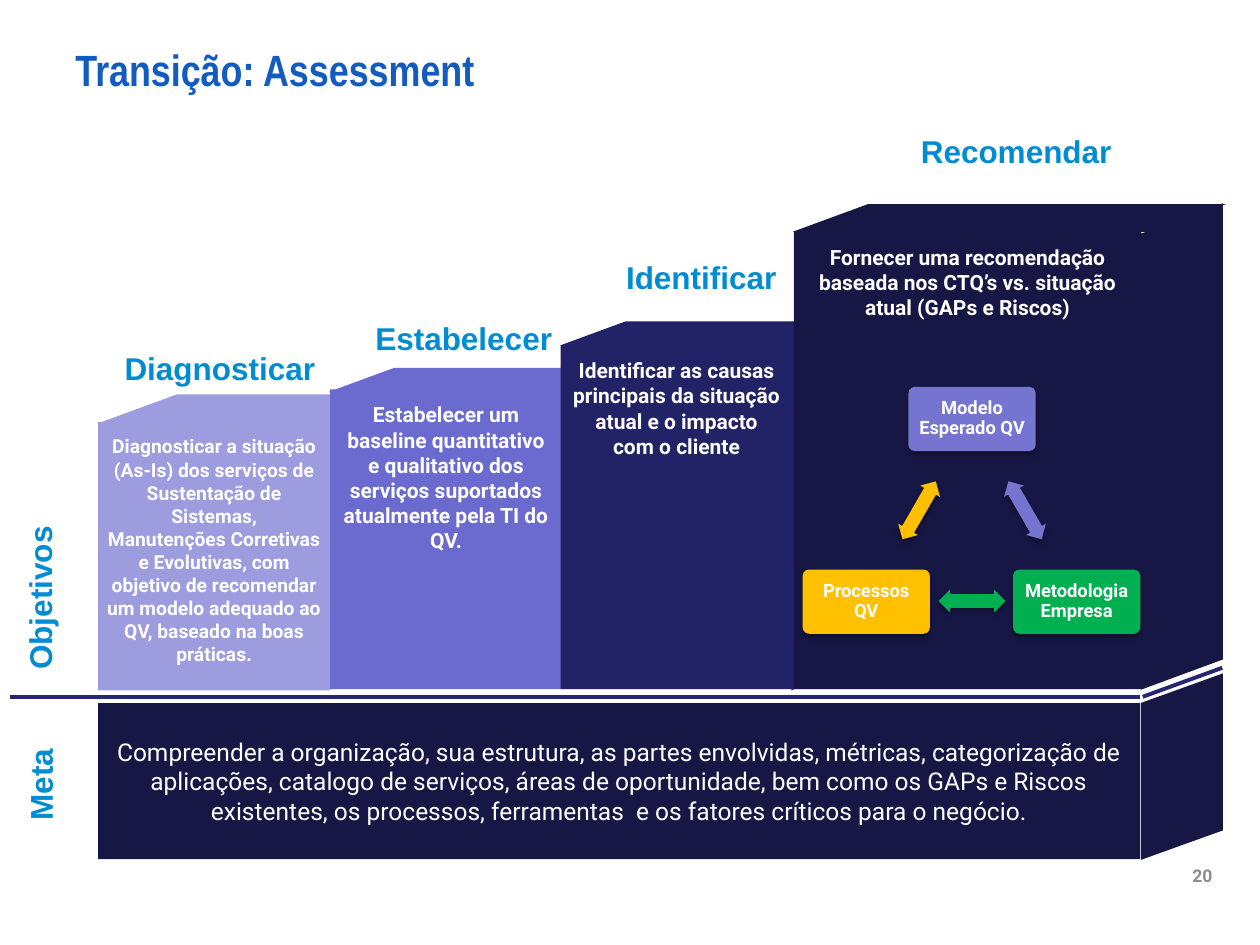
from dataclasses import dataclass

from lxml import etree
from pptx import Presentation
from pptx import util as u
from pptx.dml.color import RGBColor
from pptx.enum import shapes, text
from pptx.oxml import ns

MSO = shapes.MSO_SHAPE
ANCHOR = text.MSO_ANCHOR
ALIGN = text.PP_ALIGN


@dataclass(frozen=True)
class Theme:
    body_font: str = "Roboto"
    label_font: str = "Arial"
    title_font: str = "Arial Narrow"
    title: str = "135CBF"
    label: str = "008CD2"
    white: str = "FFFFFF"
    grey: str = "8C8C8C"
    black: str = "000000"
    lilac: str = "9C9CDF"
    violet: str = "6B6BCF"
    indigo: str = "222267"
    navy: str = "171745"
    rule: str = "262673"
    model: str = "7575D1"
    method: str = "00B050"
    process: str = "FFC000"
    title_pt: float = 25
    label_pt: float = 18
    goal_pt: float = 14
    step_pt: float = 12
    small_step_pt: float = 11
    card_pt: float = 10.5
    page_pt: float = 10


T = Theme()


def write(sp, content, *, size, color=T.white, font=T.body_font, bold=True,
          align=ALIGN.CENTER, anchor=ANCHOR.TOP, wrap=True,
          insets=(0.1, 0.05, 0.1, 0.05), spacing=None):
    """Fill a shape with text, one paragraph per line of content."""
    tf = sp.text_frame
    tf.word_wrap = wrap
    tf.vertical_anchor = anchor
    (tf.margin_left, tf.margin_top,
     tf.margin_right, tf.margin_bottom) = map(u.Inches, insets)
    for i, line in enumerate(content.split("\n")):
        p = tf.add_paragraph() if i else tf.paragraphs[0]
        p.alignment = align
        if spacing:
            p.line_spacing = spacing
        r = p.add_run()
        r.text = line
        r.font.name = font
        r.font.size = u.Pt(size)
        r.font.bold = bold
        r.font.color.rgb = RGBColor.from_string(color)


def add_text(slide, box, content, rotation=0, **fmt):
    sp = slide.shapes.add_textbox(*map(u.Inches, box))
    sp.rotation = rotation
    write(sp, content, **fmt)


def add_label(slide, box, content, rotation=0):
    add_text(slide, box, content, rotation, size=T.label_pt, color=T.label,
             font=T.label_font, align=ALIGN.LEFT, wrap=False)


def add_block(slide, kind, box, fill, adj=(), rotation=0):
    sp = slide.shapes.add_shape(kind, *map(u.Inches, box))
    sp.shadow.inherit = False
    sp.fill.solid()
    sp.fill.fore_color.rgb = RGBColor.from_string(fill)
    sp.line.fill.background()
    sp.rotation = rotation
    for i, value in enumerate(adj):
        sp.adjustments[i] = value
    return sp


def add_side(slide, box, fill, slant):
    """Right face of a block: a parallelogram stood on end."""
    sp = add_block(slide, MSO.PARALLELOGRAM, box, fill, [slant], 270)
    sp._element.spPr.find(ns.qn("a:xfrm")).set("flipV", "1")


def add_step(slide, front, top, side, fill, side_fill, content, size, margin):
    sp = add_block(slide, MSO.RECTANGLE, front, fill)
    write(sp, content, size=size, insets=(margin, 0.1, margin, 0.05))
    add_block(slide, MSO.PARALLELOGRAM, top, fill, [2.72])
    add_side(slide, side, side_fill, 0.37)


def add_shadow(sp):
    effects = sp._element.spPr.find(ns.qn("a:effectLst"))
    shadow = etree.SubElement(
        effects, ns.qn("a:outerShdw"), blurRad=str(u.Pt(3.1)),
        dist=str(u.Pt(1.8)), dir="5400000", algn="t", rotWithShape="0")
    color = etree.SubElement(shadow, ns.qn("a:srgbClr"), val=T.black)
    etree.SubElement(color, ns.qn("a:alpha"), val="35000")


def add_card(slide, left, top, fill, content):
    sp = add_block(slide, MSO.ROUNDED_RECTANGLE, (left, top, 1.01, 0.51),
                   fill, [0.1])
    add_shadow(sp)
    write(sp, content, size=T.card_pt, anchor=ANCHOR.MIDDLE,
          insets=(0.06, 0.05, 0.06, 0.05), spacing=0.9)


def add_arrow(slide, left, top, fill, rotation):
    add_shadow(add_block(slide, MSO.LEFT_RIGHT_ARROW, (left, top, 0.53, 0.18),
                         fill, [0.6, 0.5], rotation))


def add_line(slide, *ends):
    line = slide.shapes.add_connector(shapes.MSO_CONNECTOR.STRAIGHT,
                                      *map(u.Inches, ends))
    line.line.color.rgb = RGBColor.from_string(T.rule)
    line.line.width = u.Pt(2.25)
    etree.SubElement(line._element.spPr, ns.qn("a:effectLst"))


def main():
    prs = Presentation()
    prs.slide_width, prs.slide_height = u.Inches(10), u.Inches(7.5)
    s = prs.slides.add_slide(prs.slide_layouts[6])

    # Title and page number
    add_text(s, (0.5, 0.3, 9, 0.49), "Transição: Assessment", size=T.title_pt,
             color=T.title, font=T.title_font, align=ALIGN.LEFT,
             anchor=ANCHOR.MIDDLE)
    add_text(s, (7.39, 6.82, 2.33, 0.4), "20", size=T.page_pt, color=T.grey,
             align=ALIGN.RIGHT)

    # Staircase: front, top and side of each step
    steps = [
        ((0.78, 3.35, 1.84, 2.13), (0.78, 3.13, 2.98, 0.23),
         (1.66, 4.08, 2.36, 0.43), T.lilac, T.lilac,
         "Diagnosticar a situação (As-Is) dos serviços de\n"
         "Sustentação de Sistemas,\n"
         "Manutenções Corretivas e Evolutivas, com objetivo de recomendar "
         "um modelo adequado ao QV, baseado na boas práticas.",
         T.small_step_pt, 0.05),
        ((2.62, 3.09, 1.84, 2.38), (2.61, 2.92, 2.97, 0.19),
         (3.39, 3.95, 2.58, 0.43), T.violet, T.black,
         "Estabelecer um baseline quantitativo e qualitativo dos serviços "
         "suportados atualmente pela TI do QV.", T.step_pt, 0.1),
        ((4.45, 2.74, 1.84, 2.73), (4.45, 2.55, 2.77, 0.19),
         (5.03, 3.8, 2.93, 0.43), T.indigo, T.indigo,
         "Identificar as causas principais da situação atual e o impacto "
         "com o cliente", T.step_pt, 0.1),
        ((6.3, 1.84, 2.76, 3.63), (6.29, 1.62, 3.44, 0.22),
         (7.45, 3.22, 3.86, 0.65), T.navy, T.navy,
         "Fornecer uma recomendação baseada nos CTQ’s vs. situação atual "
         "(GAPs e Riscos)", T.step_pt, 0.1),
    ]
    for step in steps:
        add_step(s, *step)

    # Goal at the base
    goal = add_block(s, MSO.RECTANGLE, (0.78, 5.58, 8.27, 1.24), T.navy)
    write(goal, "Compreender a organização, sua estrutura, as partes "
          "envolvidas, métricas, categorização de aplicações, catalogo de "
          "serviços, áreas de oportunidade, bem como os GAPs e Riscos "
          "existentes, os processos, ferramentas  e os fatores críticos "
          "para o negócio.", size=T.goal_pt, bold=False,
          anchor=ANCHOR.MIDDLE)
    add_side(s, (8.64, 5.76, 1.48, 0.65), T.navy, 0.36)

    # Step names and row names
    add_label(s, (7.21, 1, 1.73, 0.4), "Recomendar")
    add_label(s, (4.87, 2, 1.41, 0.4), "Identificar")
    add_label(s, (2.88, 2.48, 1.62, 0.4), "Estabelecer")
    add_label(s, (0.89, 2.72, 1.73, 0.4), "Diagnosticar")
    add_label(s, (-0.36, 4.54, 1.35, 0.4), "Objetivos", 270)
    add_label(s, (-0.07, 6.02, 0.78, 0.4), "Meta", 270)

    # Divider between objectives and goal
    add_line(s, 0.08, 5.53, 9.05, 5.53)
    add_line(s, 9.07, 5.53, 9.7, 5.3)

    # Triangle of model, method and processes
    add_card(s, 7.21, 3.07, T.model, "Modelo Esperado QV")
    add_arrow(s, 7.87, 3.96, T.model, 60)
    add_card(s, 8.04, 4.52, T.method, "Metodologia Empresa")
    add_arrow(s, 7.45, 4.68, T.method, 180)
    add_card(s, 6.37, 4.52, T.process, "Processos QV")
    add_arrow(s, 7.03, 3.96, T.process, 300)

    prs.save("out.pptx")


if __name__ == "__main__":
    main()
